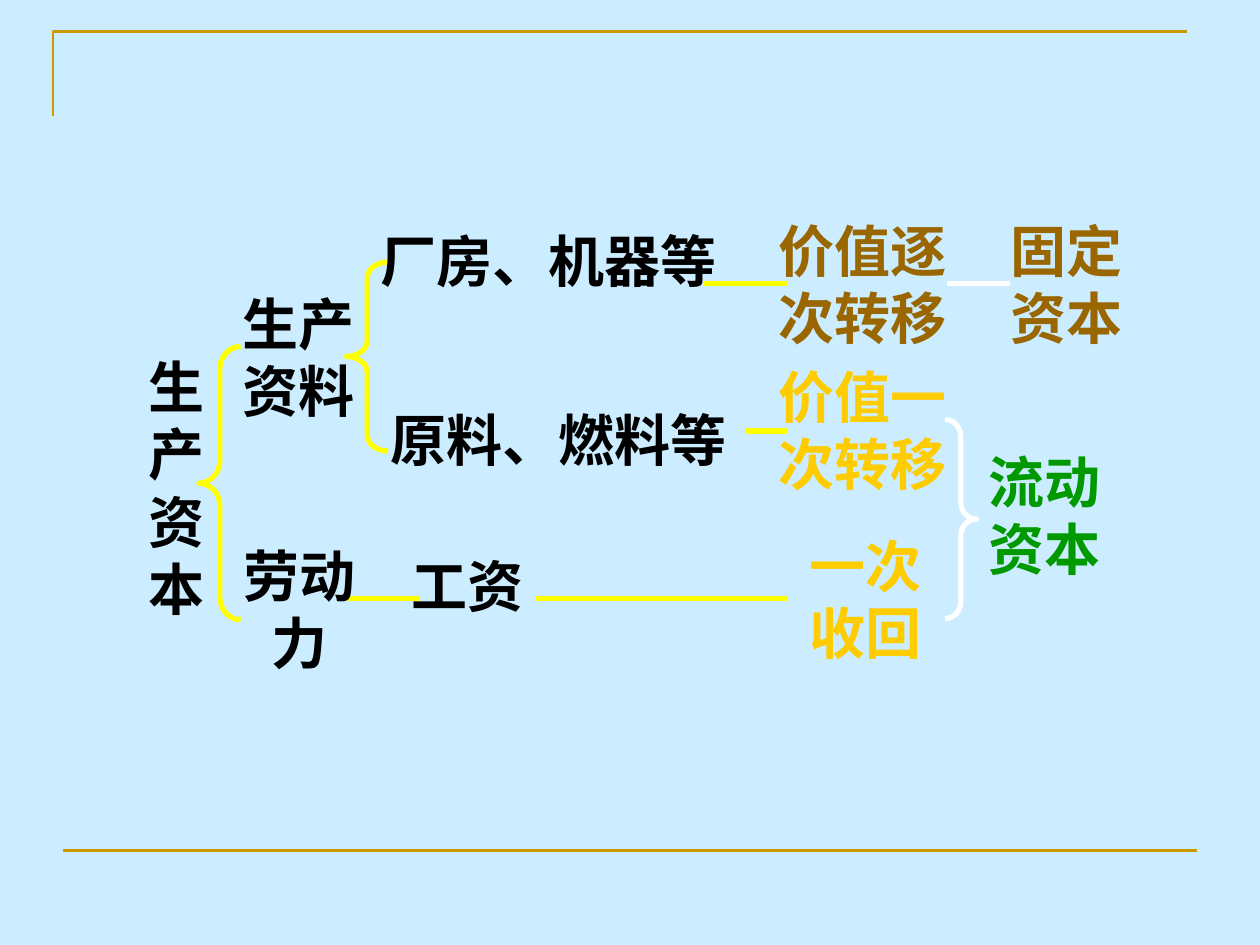
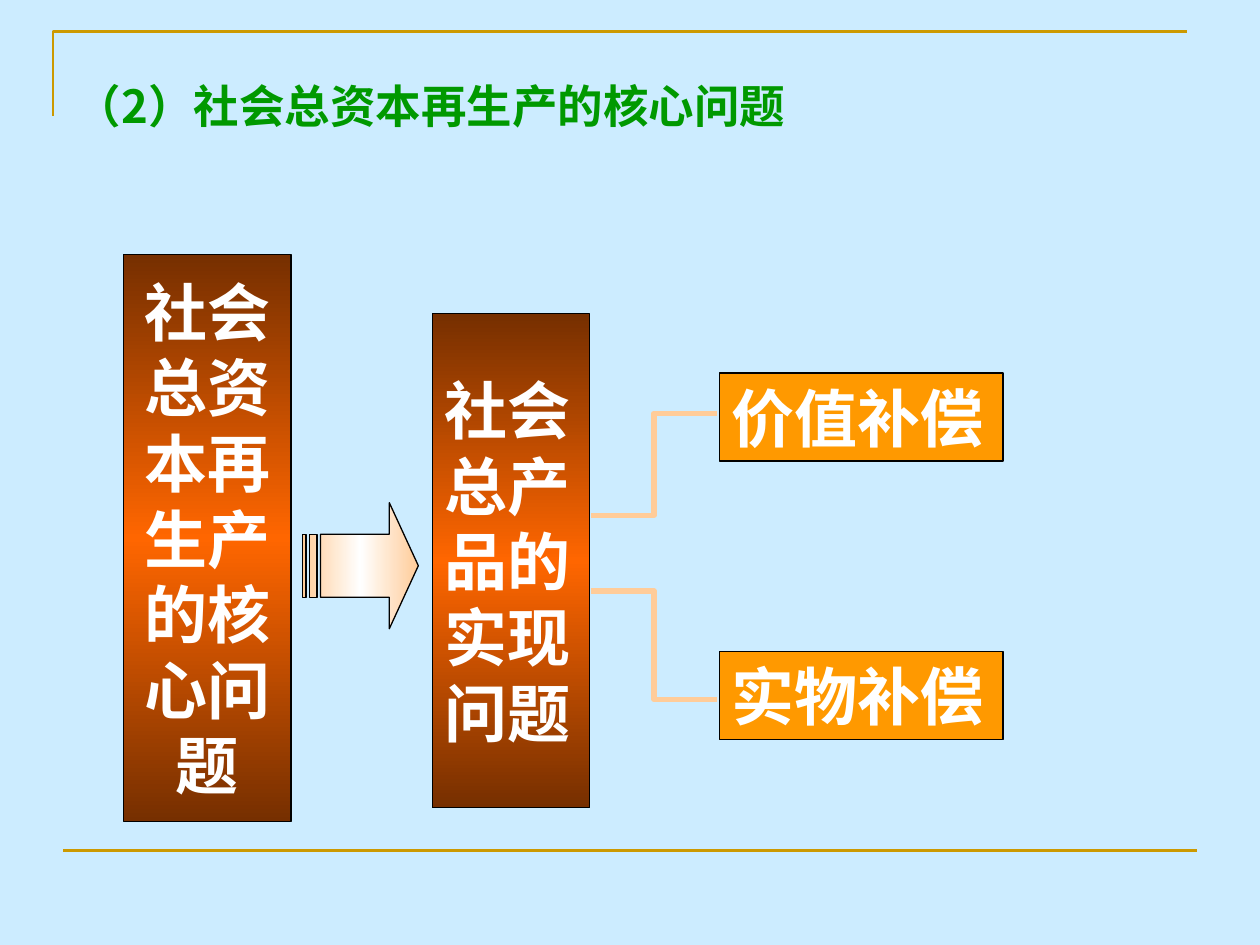
from copy import deepcopy

from lxml import etree
from pptx import Presentation
from pptx.dml.color import RGBColor
from pptx.enum.shapes import MSO_CONNECTOR, MSO_SHAPE
from pptx.enum.text import MSO_ANCHOR, MSO_AUTO_SIZE, PP_ALIGN
from pptx.oxml.ns import qn
from pptx.util import Inches, Pt

STRAIGHT, ELBOW = MSO_CONNECTOR.STRAIGHT, MSO_CONNECTOR.ELBOW
RECT, STRIPED_ARROW = MSO_SHAPE.RECTANGLE, MSO_SHAPE.STRIPED_RIGHT_ARROW
LEFT_BRACE, RIGHT_BRACE = MSO_SHAPE.LEFT_BRACE, MSO_SHAPE.RIGHT_BRACE
LEFT, CENTER = PP_ALIGN.LEFT, PP_ALIGN.CENTER
TOP, MIDDLE = MSO_ANCHOR.TOP, MSO_ANCHOR.MIDDLE

SKY = RGBColor(0xCC, 0xEC, 0xFF)
GOLD = RGBColor(0xCC, 0x99, 0x00)
BLACK = RGBColor(0, 0, 0)
WHITE = RGBColor(0xFF, 0xFF, 0xFF)
YELLOW = RGBColor(0xFF, 0xFF, 0x00)
AMBER = RGBColor(0xFF, 0xCC, 0x00)
BROWN = RGBColor(0x99, 0x66, 0x00)
GREEN = RGBColor(0x00, 0x99, 0x00)
ORANGE = RGBColor(0xFF, 0x99, 0x00)
FLAME = RGBColor(0xFF, 0x66, 0x00)
RUST = RGBColor(0x76, 0x2F, 0x00)
PEACH = RGBColor(0xFF, 0xCC, 0x99)

SANS, SERIF = "Noto Sans CJK SC", "Times New Roman"


def inches(*values):
    return [Inches(v) for v in values]


def write(tf, text, size, color, font=SANS, align=LEFT, anchor=TOP, wrap=True):
    """Fill a text frame with one bold paragraph."""
    tf.word_wrap = wrap
    tf.auto_size = MSO_AUTO_SIZE.NONE
    tf.vertical_anchor = anchor
    p = tf.paragraphs[0]
    p.text = text
    p.alignment = align
    f = p.font
    f.name, f.size, f.bold = font, Pt(size), True
    f.color.rgb = color
    etree.SubElement(f._rPr, qn("a:ea")).set("typeface", SANS)


def add_label(s, box, text, color=BLACK, font=SANS, align=LEFT):
    tb = s.shapes.add_textbox(*inches(*box))
    write(tb.text_frame, text, 32, color, font, align)


def add_line(s, start, end, color, width=3, kind=STRAIGHT):
    c = s.shapes.add_connector(kind, *inches(*start, *end))
    c.line.color.rgb = color
    c.line.width = Pt(width)
    etree.SubElement(c._element.spPr, qn("a:effectLst"))


def outline(sp, color, width):
    sp.shadow.inherit = False
    sp.line.color.rgb = color
    sp.line.width = Pt(width)


def add_brace(s, kind, box, color):
    sp = s.shapes.add_shape(kind, *inches(*box))
    sp.adjustments[0] = box[3] / 12 / box[2]  # curl is a twelfth of the height
    sp.fill.background()
    outline(sp, color, 3)


def fill_mirrored(sp, edge, middle, angle):
    """Gradient that runs from edge to middle and back."""
    sp.fill.gradient()
    sp.fill.gradient_angle = angle
    stops = sp._element.spPr.find(qn("a:gradFill")).find(qn("a:gsLst"))
    stops.insert(1, deepcopy(stops[0]))
    for stop, position, color in zip(sp.fill.gradient_stops, (0, 0.5, 1),
                                     (edge, middle, edge)):
        stop.position = position
        stop.color.rgb = color


def add_box(s, box, text, align=LEFT, anchor=TOP):
    sp = s.shapes.add_shape(RECT, *inches(*box))
    outline(sp, BLACK, 0.75)
    write(sp.text_frame, text, 36, WHITE, SERIF, align, anchor)
    return sp


def add_frame(s):
    """Corner rule at the top and line at the foot, on every slide."""
    fb = s.shapes.build_freeform(*inches(0.42, 0.92))
    fb.add_line_segments([inches(0.42, 0.25), inches(9.42, 0.25)], close=False)
    sp = fb.convert_to_shape()
    sp.fill.background()
    outline(sp, GOLD, 1.5)
    add_line(s, (0.5, 6.75), (9.5, 6.75), GOLD, 1.5)


def build_capital_tree(prs):
    s = prs.slides.add_slide(prs.slide_layouts[6])
    add_frame(s)

    # Braces
    add_brace(s, LEFT_BRACE, (1.58, 2.75, 0.33, 2.17), YELLOW)
    add_brace(s, LEFT_BRACE, (2.75, 2.08, 0.33, 1.5), YELLOW)
    add_brace(s, RIGHT_BRACE, (7.5, 3.33, 0.25, 1.58), WHITE)

    # Links between the stages
    for x1, x2, y, color in (
        (5.58, 6.25, 2.25, YELLOW),
        (7.52, 8.02, 2.25, WHITE),
        (5.92, 6.25, 3.42, YELLOW),
        (2.75, 3.33, 4.75, YELLOW),
        (4.25, 6.25, 4.75, YELLOW),
    ):
        add_line(s, (x1, y), (x2, y), color)

    # Capital and its parts
    add_label(s, (1.08, 2.75, 0.67, 2.24), "生产资本", font=SERIF)
    add_label(s, (1.83, 2.25, 1.25, 1.17), "生产资料")
    add_label(s, (1.75, 4.25, 1.25, 1.17), "劳动力", font=SERIF, align=CENTER)
    add_label(s, (2.92, 1.75, 2.92, 1.1), "厂房、机器等")
    add_label(s, (3, 3.17, 3, 0.64), "原料、燃料等")
    add_label(s, (3.17, 4.33, 1.25, 0.64), "工资")

    # How value returns, and the resulting kind of capital
    add_label(s, (6.08, 1.67, 1.58, 1.17), "价值逐次转移", BROWN)
    add_label(s, (6.08, 2.83, 1.58, 1.17), "价值一次转移", AMBER)
    add_label(s, (6.33, 4.17, 1.17, 1.17), "一次收回", AMBER)
    add_label(s, (7.92, 1.67, 1.17, 1.17), "固定资本", BROWN)
    add_label(s, (7.75, 3.5, 1.17, 1.17), "流动资本", GREEN)


def build_core_problem(prs):
    s = prs.slides.add_slide(prs.slide_layouts[5])
    add_frame(s)

    title = s.shapes.title
    title.left, title.top, title.width, title.height = inches(0.5, 0.57, 6.01, 0.54)
    write(title.text_frame, "（2）社会总资本再生产的核心问题", 26, GREEN, wrap=False)

    # Problem, arrow and its restatement
    problem = add_box(s, (0.98, 2.02, 1.33, 4.5), "社会总资本再生产的核心问题",
                      CENTER, MIDDLE)
    realisation = add_box(s, (3.43, 2.49, 1.25, 3.92), "社会总产品的实现问题",
                          anchor=MIDDLE)
    for sp in (problem, realisation):
        fill_mirrored(sp, RUST, FLAME, 90)

    arrow = s.shapes.add_shape(STRIPED_ARROW, *inches(2.4, 3.99, 0.92, 1))
    arrow.adjustments[1] = 0.25
    outline(arrow, BLACK, 0.75)
    fill_mirrored(arrow, PEACH, WHITE, 0)

    # Two kinds of compensation
    for text, top, y1, y2 in (("价值补偿", 2.96, 4.09, 3.28),
                              ("实物补偿", 5.17, 4.69, 5.55)):
        add_line(s, (4.69, y1), (5.69, y2), PEACH, kind=ELBOW)
        sp = add_box(s, (5.71, top, 2.25, 0.7), text)
        sp.fill.solid()
        sp.fill.fore_color.rgb = ORANGE


def main():
    prs = Presentation()
    prs.slide_width, prs.slide_height = inches(10, 7.5)
    background = prs.slide_master.background.fill
    background.solid()
    background.fore_color.rgb = SKY
    build_capital_tree(prs)
    build_core_problem(prs)
    prs.save("out.pptx")


if __name__ == "__main__":
    main()
